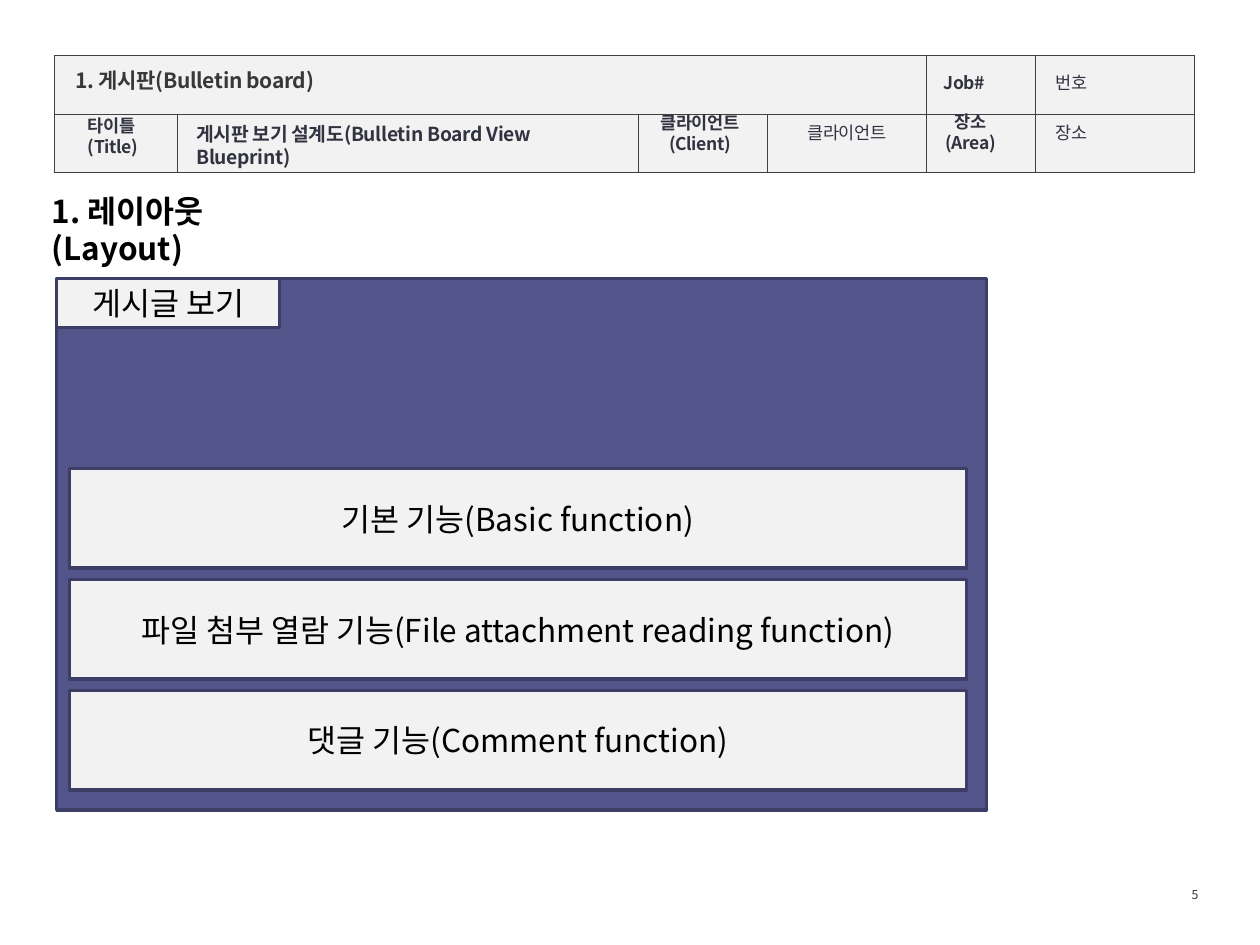
import pptx
import pptx.dml.color
import pptx.enum.shapes
import pptx.enum.text
import pptx.oxml
import pptx.oxml.ns
import pptx.util

Inches, Pt = pptx.util.Inches, pptx.util.Pt
PP_ALIGN, MSO_ANCHOR = pptx.enum.text.PP_ALIGN, pptx.enum.text.MSO_ANCHOR
rgb = pptx.dml.color.RGBColor.from_string
FONT = "Noto Sans CJK KR"
NS = pptx.oxml.ns.nsdecls("a")


def write(shape, lines, size, color, bold=False, align=PP_ALIGN.LEFT,
          anchor=MSO_ANCHOR.TOP, wrap=True, spacing=0):
    tf = shape.text_frame
    tf.word_wrap = wrap
    tf.vertical_anchor = anchor
    for i, line in enumerate(lines):
        p = tf.paragraphs[0] if i == 0 else tf.add_paragraph()
        p.alignment = align
        for j, part in enumerate(line.split("\n")):
            if j:
                p.add_line_break()
            r = p.add_run()
            r.text = part
            r.font.size, r.font.bold = Pt(size), bold
            r.font.color.rgb = rgb(color)
            r.font.name = FONT
            rPr = r.font._element
            rPr.append(pptx.oxml.parse_xml(f'<a:ea {NS} typeface="{FONT}"/>'))
            if spacing:
                rPr.set("spc", str(spacing))


def add_box(left, top, width, height, fill, line=None):
    sp = s.shapes.add_shape(pptx.enum.shapes.MSO_SHAPE.RECTANGLE, Inches(left),
                            Inches(top), Inches(width), Inches(height))
    sp.shadow.inherit = False
    sp.fill.solid()
    sp.fill.fore_color.rgb = rgb(fill)
    if line:
        sp.line.color.rgb = rgb(line)
        sp.line.width = Pt(2)
    else:
        sp.line.fill.background()
    return sp


prs = pptx.Presentation()
prs.slide_width, prs.slide_height = Inches(10), Inches(7.5)
s = prs.slides.add_slide(prs.slide_layouts[5])

# Dark background under a white page, which goes behind the title
s.background.fill.solid()
s.background.fill.fore_color.rgb = rgb("343434")
page = add_box(0, 0, 10, 7.5, "FFFFFF")
s.shapes._spTree.insert(2, page._element)

# Section title
title = s.shapes.title
title.left, title.top = Inches(0.31), Inches(1.47)
title.width, title.height = Inches(2.4), Inches(0.4)
write(title, ["1. 레이아웃(Layout)"], 18, "000000", bold=True)

# Header table
widths = [0.98, 3.66, 1.02, 1.26, 0.87, 1.26]
row_height = 0.465
frame = s.shapes.add_table(2, len(widths), Inches(0.43), Inches(0.44),
                           Inches(sum(widths)), Inches(2 * row_height))
table = frame.table
for column, width in zip(table.columns, widths):
    column.width = Inches(width)
for row in table.rows:
    row.height = Inches(row_height)
table.cell(0, 0).merge(table.cell(0, 3))
for cell in table.iter_cells():
    cell.fill.solid()
    cell.fill.fore_color.rgb = rgb("F2F2F2")
    tcPr = cell._tc.get_or_add_tcPr()
    for i, side in enumerate("LRTB"):
        tcPr.insert(i, pptx.oxml.parse_xml(
            f'<a:ln{side} {NS} w="6350"><a:solidFill><a:srgbClr val="404040"/>'
            f'</a:solidFill></a:ln{side}>'))

# Header labels: position, lines, size, colour, bold, alignment, wrap
LEFT, CENTER = PP_ALIGN.LEFT, PP_ALIGN.CENTER
INK = "323341"
labels = [
    (5.12, 0.84, 0.87, 0.44, ["클라이언트", "(Client)"], 10, INK, True, CENTER, True),
    (7.39, 0.83, 0.63, 0.44, ["장소\n(Area)"], 10, INK, True, CENTER, True),
    (0.6, 0.86, 0.63, 0.44, ["타이틀", "(Title)"], 10, INK, True, LEFT, True),
    (7.39, 0.52, 0.63, 0.27, ["Job#"], 10, INK, True, LEFT, True),
    (8.28, 0.92, 0.46, 0.27, ["장소"], 10, INK, False, LEFT, False),
    (8.28, 0.52, 0.46, 0.27, ["번호"], 10, INK, False, LEFT, False),
    (0.5, 0.49, 2.38, 0.3, ["1. 게시판(Bulletin board)"], 12, "383838", True, LEFT, True),
    (6.31, 0.92, 0.85, 0.27, ["클라이언트"], 10, INK, False, LEFT, False),
    (1.46, 0.92, 3.53, 0.29, ["게시판 보기 설계도(Bulletin Board View Blueprint)"],
     11, INK, True, LEFT, True),
]
for left, top, width, height, lines, size, color, bold, align, wrap in labels:
    tb = s.shapes.add_textbox(Inches(left), Inches(top), Inches(width), Inches(height))
    write(tb, lines, size, color, bold, align, wrap=wrap, spacing=-20)

# Layout panel, its function bars and its tab
add_box(0.45, 2.21, 7.38, 4.22, "53548A", "3D3E66")
functions = ["기본 기능(Basic function)",
             "파일 첨부 열람 기능(File attachment reading function)",
             "댓글 기능(Comment function)"]
parts = [(0.55, 3.72 + 0.88 * i, 7.12, 0.79, text) for i, text in enumerate(functions)]
parts.append((0.45, 2.21, 1.77, 0.39, "게시글 보기"))
for left, top, width, height, text in parts:
    sp = add_box(left, top, width, height, "F2F2F2", "3D3E66")
    write(sp, [text], 18, "000000", align=CENTER, anchor=MSO_ANCHOR.MIDDLE)

# Page number
tb = s.shapes.add_textbox(Inches(9.25), Inches(6.9), Inches(0.47), Inches(0.4))
write(tb, ["5"], 7, INK, align=CENTER, anchor=MSO_ANCHOR.MIDDLE)

prs.save("out.pptx")
